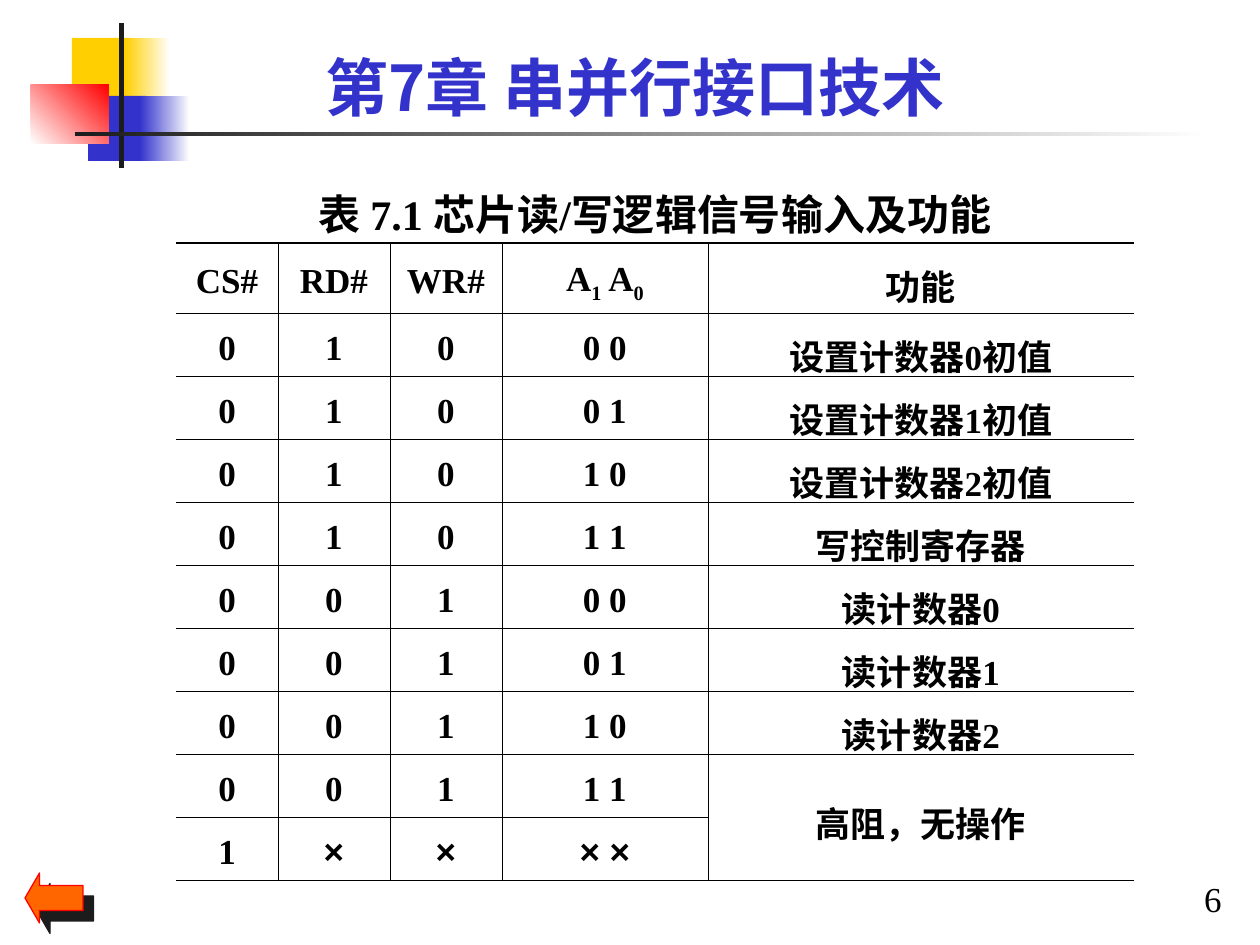
from dataclasses import dataclass
from typing import Optional

from lxml.etree import SubElement
from pptx import Presentation
from pptx.dml.color import RGBColor
from pptx.enum.shapes import MSO_SHAPE as Shape
from pptx.enum.text import MSO_ANCHOR as Anchor, MSO_AUTO_SIZE as AutoSize, PP_ALIGN as Align
from pptx.oxml.ns import qn
from pptx.util import Pt

BLACK = RGBColor(0x00, 0x00, 0x00)
WHITE = RGBColor(0xFF, 0xFF, 0xFF)
INK = RGBColor(0x1C, 0x1C, 0x1C)
YELLOW = RGBColor(0xFF, 0xCF, 0x01)
BLUE = RGBColor(0x33, 0x33, 0xCC)
RED = RGBColor(0xFF, 0x00, 0x00)
ORANGE = RGBColor(0xFF, 0x66, 0x00)

EMU_PER_PX = 914400 / 126
SERIF, SANS, CJK = "Times New Roman", "Arial", "Noto Sans CJK SC"
THIN, THICK = 0.45, 1.08

COL_WIDTHS = [102, 112, 112, 206, 426]
CAPTION_HEIGHT, ROW_HEIGHT = 80, 59
CAPTION = "表 7.1 芯片读/写逻辑信号输入及功能"
HEADER = ["CS#", "RD#", "WR#", "", "功能"]
ADDRESS_RUNS = [("A", False), ("1", True), (" A", False), ("0", True)]
ROWS = [
    ("0", "1", "0", "0 0", "设置计数器0初值"),
    ("0", "1", "0", "0 1", "设置计数器1初值"),
    ("0", "1", "0", "1 0", "设置计数器2初值"),
    ("0", "1", "0", "1 1", "写控制寄存器"),
    ("0", "0", "1", "0 0", "读计数器0"),
    ("0", "0", "1", "0 1", "读计数器1"),
    ("0", "0", "1", "1 0", "读计数器2"),
    ("0", "0", "1", "1 1", "高阻，无操作"),
    ("1", "×", "×", "× ×", ""),
]


@dataclass(frozen=True)
class Block:
    """A decorative rectangle, plain or fading from one colour to another."""

    x: int
    y: int
    w: int
    h: int
    color: RGBColor
    end: Optional[RGBColor] = None
    angle: int = 0


BLOCKS = [
    Block(72, 38, 60, 66, YELLOW),
    Block(125, 38, 45, 66, YELLOW, WHITE),
    Block(88, 96, 58, 65, BLUE),
    Block(140, 96, 50, 65, BLUE, WHITE),
    Block(31, 85, 78, 59, WHITE, RED, 45),
    Block(119, 23, 5, 145, INK),
    Block(75, 132, 1134, 4, INK, WHITE),
]


def px(n: int) -> int:
    """Turn pixels into EMU."""
    return round(n * EMU_PER_PX)


def box(x: int, y: int, w: int, h: int) -> tuple:
    """Turn a pixel rectangle into EMU."""
    return px(x), px(y), px(w), px(h)


def add_run(p, text: str, size: int, font: str = SERIF, color: RGBColor = BLACK,
            bold: bool = True, sub: bool = False) -> None:
    """Add one formatted run to a paragraph."""
    r = p.add_run()
    r.text = text
    f = r.font
    f.size, f.name, f.bold = Pt(size), font, bold
    f.color.rgb = color
    rpr = r._r.get_or_add_rPr()
    SubElement(rpr, qn("a:ea")).set("typeface", CJK)
    if sub:
        rpr.set("baseline", "-25000")


def zero_margins(tf) -> None:
    """Remove the insets of a text frame."""
    tf.margin_left = tf.margin_right = tf.margin_top = tf.margin_bottom = 0


def add_block(s, b: Block) -> None:
    """Draw one decorative rectangle."""
    sp = s.shapes.add_shape(Shape.RECTANGLE, *box(b.x, b.y, b.w, b.h))
    sp.shadow.inherit = False
    sp.line.fill.background()
    if b.end is None:
        sp.fill.solid()
        sp.fill.fore_color.rgb = b.color
        return
    sp.fill.gradient()
    sp.fill.gradient_angle = b.angle
    for stop, color, pos in zip(sp.fill.gradient_stops, (b.color, b.end), (0, 1)):
        stop.color.rgb = color
        stop.position = pos


def add_back_arrow(s) -> None:
    """Draw the arrow with its hard shadow."""
    sp = s.shapes.add_shape(Shape.LEFT_ARROW, *box(25, 873, 58, 50))
    sp.adjustments[0], sp.adjustments[1] = 0.5, 0.29
    sp.fill.solid()
    sp.fill.fore_color.rgb = ORANGE
    sp.line.color.rgb = RED
    sp.line.width = Pt(0.75)
    sp.shadow.inherit = False
    effects = sp._element.spPr.find(qn("a:effectLst"))
    shadow = SubElement(effects, qn("a:outerShdw"), dist=str(Pt(8.5)), dir="2700000",
                        algn="ctr", rotWithShape="0")
    SubElement(shadow, qn("a:srgbClr")).set("val", str(INK))


def set_borders(cell, left: float, right: float, top: float, bottom: float) -> None:
    """Set the four border widths in points, zero for none."""
    tcpr = cell._tc.get_or_add_tcPr()
    for side, width in zip("LRTB", (left, right, top, bottom)):
        ln = SubElement(tcpr, qn(f"a:ln{side}"), w=str(Pt(width)))
        if width:
            SubElement(SubElement(ln, qn("a:solidFill")), qn("a:srgbClr")).set("val", str(BLACK))
        else:
            SubElement(ln, qn("a:noFill"))


def style_cell(cell, row: int, col: int, last_row: int, last_col: int) -> None:
    """Give a cell its rules, clear fill and centred paragraph."""
    if row == 0:
        set_borders(cell, 0, 0, 0, THICK)
    else:
        set_borders(cell, THIN if col else 0, THIN if col < last_col else 0,
                    THICK if row == 1 else THIN, THICK if row == last_row else THIN)
    cell.fill.background()
    cell.vertical_anchor = Anchor.MIDDLE
    p = cell.text_frame.paragraphs[0]
    p.alignment, p.line_spacing = Align.CENTER, 1.2


def add_logic_table(s) -> None:
    """Draw the read/write logic table."""
    grid = [[CAPTION, "", "", "", ""], HEADER, *ROWS]
    last_row, last_col = len(grid) - 1, len(COL_WIDTHS) - 1
    heights = [CAPTION_HEIGHT] + [ROW_HEIGHT] * last_row
    frame = s.shapes.add_table(len(grid), len(COL_WIDTHS),
                               *box(176, 163, sum(COL_WIDTHS), sum(heights)))
    table = frame.table
    table.first_row = table.horz_banding = False
    for column, width in zip(table.columns, COL_WIDTHS):
        column.width = px(width)
    for row, height in zip(table.rows, heights):
        row.height = px(height)
    for i, texts in enumerate(grid):
        for j, text in enumerate(texts):
            cell = table.cell(i, j)
            style_cell(cell, i, j, last_row, last_col)
            if text:
                add_run(cell.text_frame.paragraphs[0], text, 20 if i else 24,
                        SANS if "×" in text else SERIF)
    for text, sub in ADDRESS_RUNS:
        add_run(table.cell(1, 3).text_frame.paragraphs[0], text, 20, sub=sub)
    table.cell(0, 0).merge(table.cell(0, last_col))
    table.cell(last_row - 1, last_col).merge(table.cell(last_row, last_col))


def add_title(s) -> None:
    """Fill the title placeholder."""
    sp = s.shapes.title
    sp.left, sp.top, sp.width, sp.height = box(174, 48, 922, 76)
    tf = sp.text_frame
    zero_margins(tf)
    tf.auto_size, tf.vertical_anchor = AutoSize.NONE, Anchor.MIDDLE
    p = tf.paragraphs[0]
    p.alignment = Align.CENTER
    add_run(p, "第7章 串并行接口技术", 36, CJK, BLUE)


def add_page_number(s) -> None:
    """Write the page number in the lower right corner."""
    tf = s.shapes.add_textbox(*box(1188, 877, 50, 43)).text_frame
    zero_margins(tf)
    tf.word_wrap, tf.vertical_anchor = False, Anchor.MIDDLE
    p = tf.paragraphs[0]
    p.alignment = Align.CENTER
    add_run(p, "6", 20, bold=False)


def main() -> None:
    """Build the slide and save it."""
    prs = Presentation()
    prs.slide_width, prs.slide_height = px(1260), px(945)
    s = prs.slides.add_slide(prs.slide_layouts[5])
    for b in BLOCKS:
        add_block(s, b)
    add_page_number(s)
    add_back_arrow(s)
    add_logic_table(s)
    add_title(s)
    prs.save("out.pptx")


if __name__ == "__main__":
    main()
